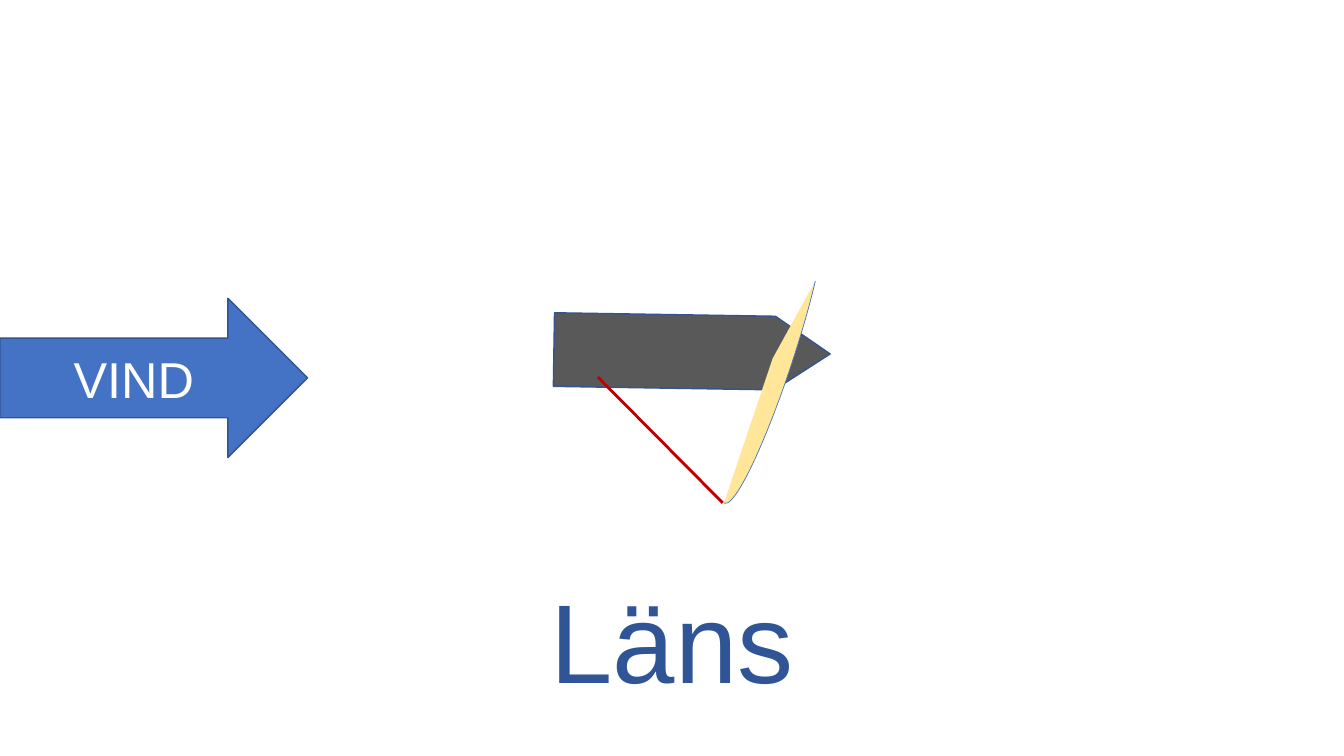
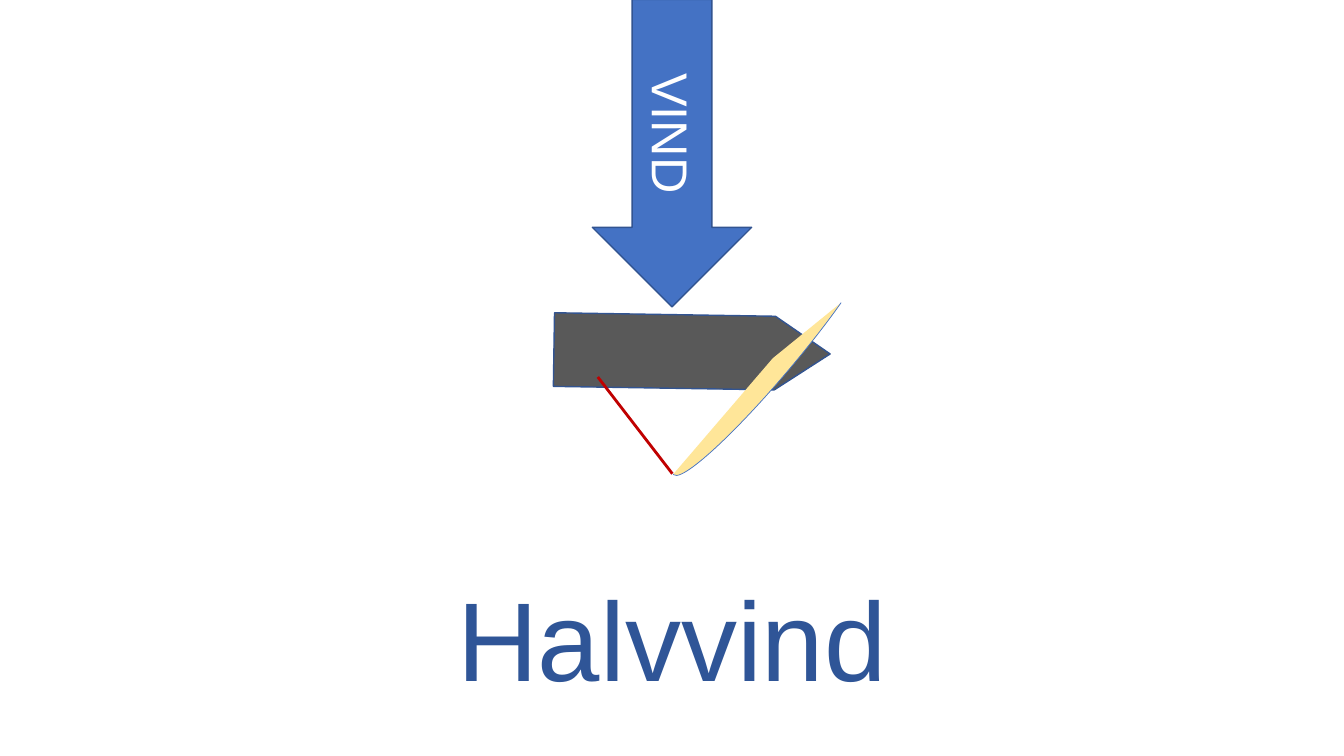
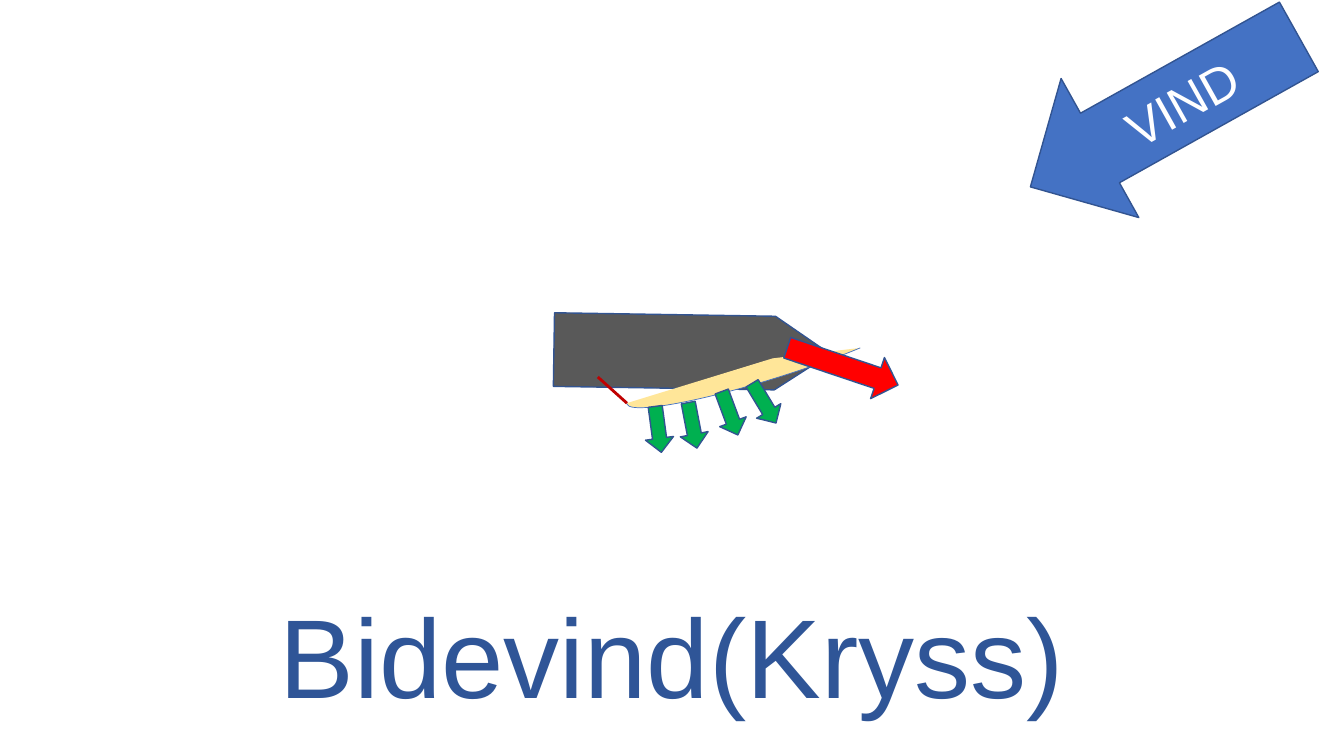
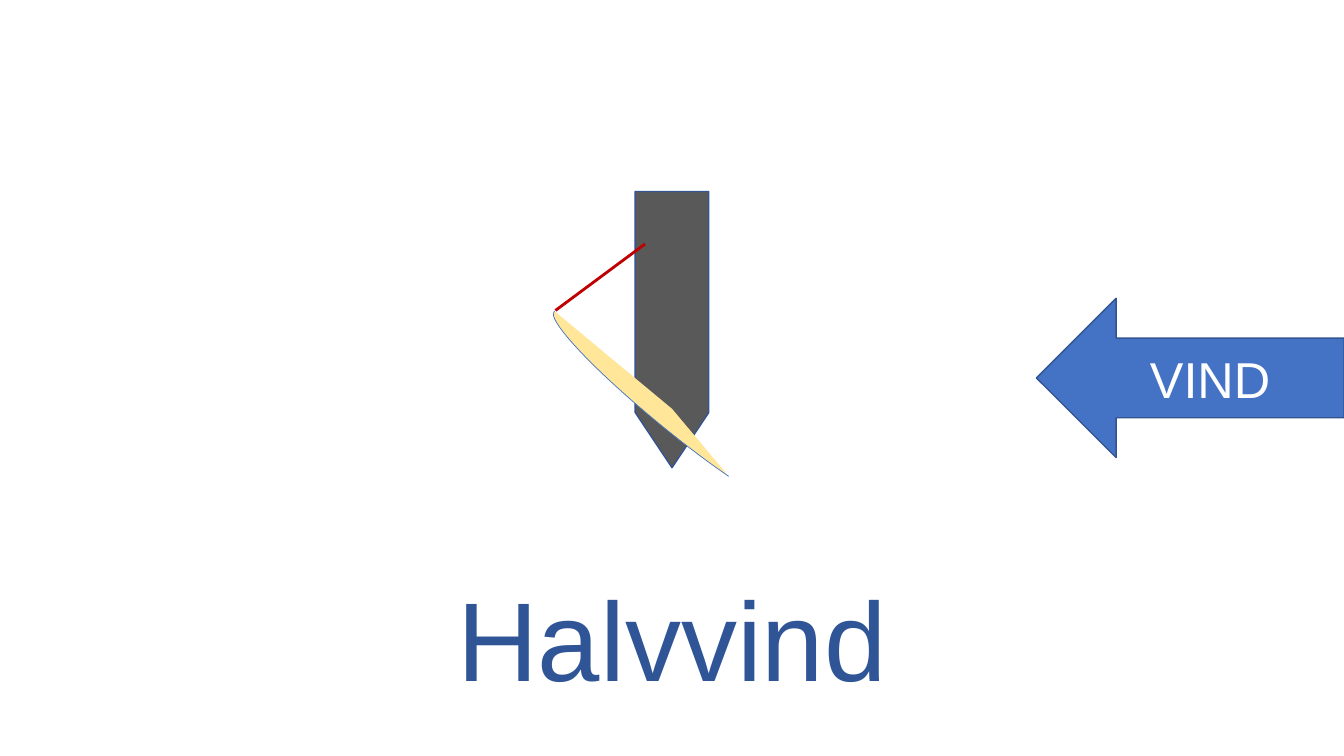
"""Build four slides on points of sail: boat, sail, sheet and wind."""
from lxml import etree
from pptx import Presentation
from pptx import util as u
from pptx.dml.color import RGBColor
from pptx.enum import shapes, text
from pptx.oxml import ns

WIDE, HIGH = u.Inches(13.33), u.Inches(7.5)
FONT = "Arial"
COLORS = {
    "title": "2F5597",
    "hull": "595959",
    "sail": "FFE699",
    "wind": "4472C4",
    "edge": "325491",
    "sheet": "C00000",
    "force": "FF0000",
    "lift": "00B050",
    "label": "FFFFFF",
}
KIND = shapes.MSO_SHAPE
HULL = (5.48, 36.53)
SAIL = (22.73, 5.2)
WIND = (22.88, 21.07)
FORCE = (8.7, 5.73)
LIFT = (3.45, 3.73)
ARC = (190.575, 0.32)

EAST = {"hull": (51.49, 46.53, 270.9), "mast": (57.49, 47.4), "cleat": (44.48, 49.87)}
SOUTH = {"hull": (50, 43.6, 0), "mast": (50, 54.07), "cleat": (48, 32.27)}
LIFTS = [
    (56.85, 53.33, 58.9),
    (54.3, 54.67, 69.6),
    (51.53, 56.27, 79.2),
    (48.98, 56.8, 82.4),
]


def col(share):
    """Turn a percentage of the slide width into a length."""
    return round(WIDE * share / 100)


def row(share):
    """Turn a percentage of the slide height into a length."""
    return round(HIGH * share / 100)


def rgb(name):
    """Look up a named colour."""
    return RGBColor.from_string(COLORS[name])


def write(frame, words, size, color):
    """Put one centred line of text in a frame."""
    frame.text = words
    para = frame.paragraphs[0]
    para.alignment = text.PP_ALIGN.CENTER
    font = para.runs[0].font
    font.name, font.size = FONT, u.Pt(size)
    font.color.rgb = rgb(color)


def add_title(slide, words, top, width):
    """Place the title, centred across the slide."""
    title = slide.shapes.title
    title.left, title.top = col(50 - width / 2), row(top)
    title.width, title.height = col(width), row(19.33)
    frame = title.text_frame
    frame.word_wrap = True
    frame.auto_size = text.MSO_AUTO_SIZE.SHAPE_TO_FIT_TEXT
    frame.vertical_anchor = text.MSO_ANCHOR.TOP
    write(frame, words, 80, "title")


def add_form(slide, kind, spot, size, fill, edge="edge", line=1):
    """Add a filled shape around a centre, turned by an angle."""
    x, y, turn = spot
    w, h = size
    form = slide.shapes.add_shape(kind, col(x - w / 2), row(y - h / 2), col(w), row(h))
    form.rotation = turn
    form.shadow.inherit = False
    form.fill.solid()
    form.fill.fore_color.rgb = rgb(fill)
    form.line.color.rgb = rgb(edge)
    form.line.width = u.Pt(line)
    return form


def add_sheet(slide, start, end):
    """Draw the rope from the sail to the hull."""
    rope = slide.shapes.add_connector(
        shapes.MSO_CONNECTOR.STRAIGHT, col(start[0]), row(start[1]), col(end[0]), row(end[1]))
    rope.line.color.rgb = rgb("sheet")
    rope.line.width = u.Pt(2)
    etree.SubElement(rope.element.spPr, ns.qn("a:effectLst"))


def add_boat(slide, boat, turn, clew):
    """Draw the hull, the sail at an angle and the sheet."""
    add_form(slide, KIND.FLOWCHART_OFFPAGE_CONNECTOR, boat["hull"], HULL, "hull")
    sail = add_form(slide, KIND.ARC, (*boat["mast"], turn), SAIL, "sail", "wind", 0.5)
    for i, angle in enumerate(ARC):
        sail.adjustments[i] = angle * 0.6
    add_sheet(slide, clew, boat["cleat"])


def add_wind(slide, spot, flip):
    """Draw the labelled wind arrow."""
    wind = add_form(slide, KIND.RIGHT_ARROW, spot, WIND, "wind")
    if flip:
        wind.element.spPr.find(ns.qn("a:xfrm")).set("flipH", "1")
    wind.text_frame.vertical_anchor = text.MSO_ANCHOR.MIDDLE
    write(wind.text_frame, "VIND", 36, "label")


def add_course(deck, words, top, width, boat, turn, clew, wind, flip=False):
    """Add a slide for one point of sail."""
    slide = deck.slides.add_slide(deck.slide_layouts[5])
    add_title(slide, words, top, width)
    add_boat(slide, boat, turn, clew)
    add_wind(slide, wind, flip)
    return slide


def add_forces(slide):
    """Show the lift along the sail and the force on the boat."""
    add_form(slide, KIND.RIGHT_ARROW, (62.7, 48.47, 18.6), FORCE, "force")
    for spot in LIFTS:
        add_form(slide, KIND.RIGHT_ARROW, spot, LIFT, "lift")


def main():
    """Build and save the deck."""
    deck = Presentation()
    deck.slide_width, deck.slide_height = WIDE, HIGH
    add_course(deck, "Läns", 74.93, 24.3, EAST, 108.3, (53.78, 66.53), (11.44, 50, 0))
    add_course(deck, "Halvvind", 74.67, 46.28, EAST, 130.3, (50.03, 62.67), (50, 20.27, 90))
    close = add_course(deck, "Bidevind(Kryss)", 76.93, 72.15, EAST, 162.6,
                       (46.65, 53.33), (86.66, 14.8, 330.8), True)
    add_forces(close)
    add_course(deck, "Halvvind", 74.67, 46.28, SOUTH, 219.4, (41.33, 41.07), (88.56, 50, 0), True)
    deck.save("out.pptx")


if __name__ == "__main__":
    main()
